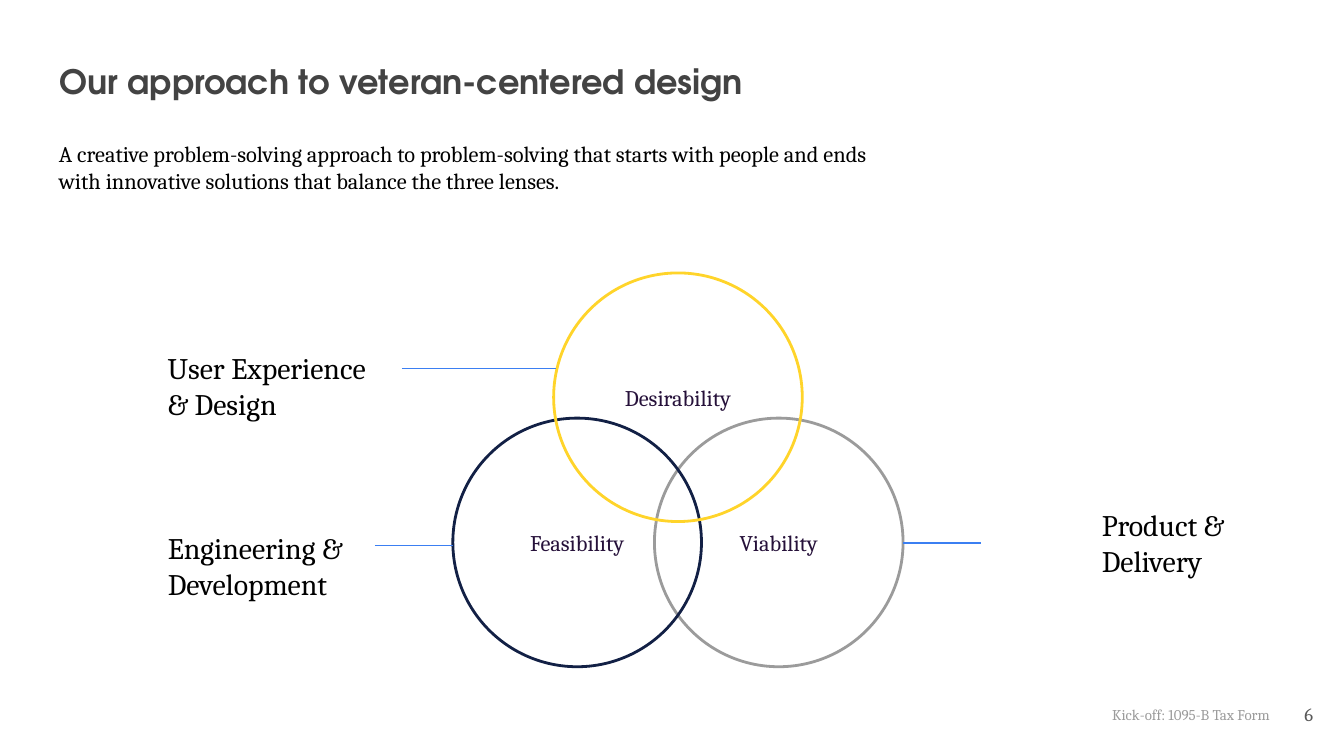
import pptx
import pptx.util
from lxml import etree
from pptx.dml.color import RGBColor
from pptx.enum.shapes import MSO_CONNECTOR, MSO_SHAPE
from pptx.enum.text import MSO_ANCHOR, MSO_AUTO_SIZE, PP_ALIGN
from pptx.oxml.ns import qn

Pt = pptx.util.Pt

TITLE = "Our approach to veteran-centered design"
INTRO = ("A creative problem-solving approach to problem-solving that starts with "
         "people and ends with innovative solutions that balance the three lenses.")
FOOTER = "Kick-off: 1095-B Tax Form"
PAGE_NUMBER = "6"

# Name, line colour, steps from the diagram's centre (across, down), back to front
LENSES = [
    ("Viability", "9B9B9B", 1, 1),
    ("Feasibility", "122045", -1, 1),
    ("Desirability", "FFD42A", 0, 0),
]
# Text, left, top, width
TEAMS = [
    ("User Experience\n& Design", 82.8, 180, 131.8),
    ("Engineering & Development", 82.8, 276.5, 133.2),
    ("Product & Delivery", 583.2, 264.2, 127.4),
]
# Start, end, height of each level leader line
LEADERS = [
    (215.3, 298.1, 197.3),
    (200.9, 242.6, 292.3),
    (483.8, 525.6, 290.9),
]

DIAMETER = 133.2
CENTER_X, TOP_CENTER_Y = 363.2, 212.8
STEP_X, STEP_Y = 54, 77.8


def color(hex_value):
    return RGBColor.from_string(hex_value)


def write(shape, text, size=12, font="Cambria", ink="000000", bold=False,
          align=PP_ALIGN.LEFT, anchor=MSO_ANCHOR.TOP):
    frame = shape.text_frame
    frame.word_wrap = True
    frame.auto_size = MSO_AUTO_SIZE.NONE
    frame.vertical_anchor = anchor
    frame.margin_left = frame.margin_right = Pt(7.2)
    frame.margin_top = frame.margin_bottom = Pt(7.2)
    frame.text = text
    for paragraph in frame.paragraphs:
        paragraph.alignment = align
        for run in paragraph.runs:
            run.font.size = Pt(size)
            run.font.name = font
            run.font.bold = bold
            run.font.color.rgb = color(ink)


def add_text(slide, box, text, **text_format):
    shape = slide.shapes.add_textbox(*map(Pt, box))
    write(shape, text, **text_format)


def add_lens(slide, name, line_color, across, down):
    left = CENTER_X + across * STEP_X - DIAMETER / 2
    top = TOP_CENTER_Y + down * STEP_Y - DIAMETER / 2
    circle = slide.shapes.add_shape(
        MSO_SHAPE.OVAL, Pt(left), Pt(top), Pt(DIAMETER), Pt(DIAMETER))
    circle.shadow.inherit = False
    circle.fill.background()
    circle.line.color.rgb = color(line_color)
    circle.line.width = Pt(1.5)
    write(circle, name, ink="26113A", align=PP_ALIGN.CENTER, anchor=MSO_ANCHOR.MIDDLE)


def add_leader(slide, start, end, height):
    leader = slide.shapes.add_connector(
        MSO_CONNECTOR.STRAIGHT, Pt(start), Pt(height), Pt(end), Pt(height))
    leader.line.color.rgb = color("3B7FF2")
    leader.line.width = Pt(0.75)
    etree.SubElement(leader._element.spPr, qn("a:effectLst"))


def main():
    presentation = pptx.Presentation()
    presentation.slide_width, presentation.slide_height = Pt(720), Pt(405)
    slide = presentation.slides.add_slide(presentation.slide_layouts[5])

    title = slide.shapes.title
    title.left, title.top, title.width, title.height = map(Pt, (24.5, 25.2, 671, 36))
    write(title, TITLE, size=18, font="TeX Gyre Adventor", ink="434343", bold=True)
    add_text(slide, (24.5, 67.7, 456.5, 43.9), INTRO)

    for lens in LENSES:
        add_lens(slide, *lens)
    for text, left, top, width in TEAMS:
        add_text(slide, (left, top, width, 53.3), text, size=16)
    for leader in LEADERS:
        add_leader(slide, *leader)

    add_text(slide, (577.4, 370.8, 110.2, 28.1), FOOTER, size=8, ink="9B9B9B",
             align=PP_ALIGN.RIGHT)
    add_text(slide, (667.4, 367.2, 43.2, 31), PAGE_NUMBER, size=10, ink="595959",
             align=PP_ALIGN.RIGHT, anchor=MSO_ANCHOR.MIDDLE)
    presentation.save("out.pptx")


if __name__ == "__main__":
    main()
